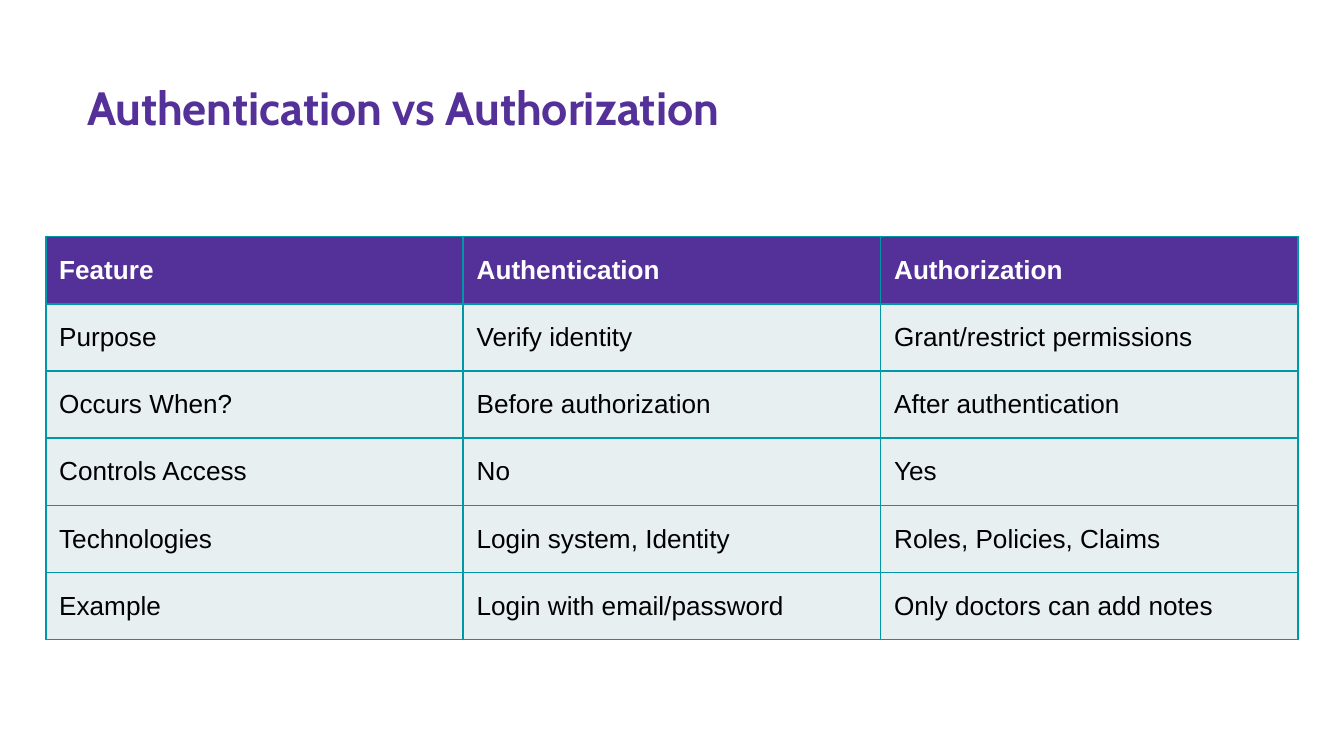
from dataclasses import dataclass

from lxml.etree import SubElement
from pptx import Presentation
from pptx.dml.color import RGBColor as Color
from pptx.enum.text import MSO_ANCHOR as Anchor
from pptx.oxml.ns import qn
from pptx.util import Inches, Pt


@dataclass(frozen=True)
class Theme:
    purple: str = "543198"
    teal: str = "0097A7"
    pale: str = "E7EFF1"
    white: str = "FFFFFF"
    black: str = "000000"
    title_font: str = "Cabin"
    body_font: str = "Arial"
    title_size: int = 25
    body_size: int = 14
    border_width: int = 1


THEME = Theme()

# Widescreen slide, 16:9
SLIDE_WIDTH = 10
SLIDE_HEIGHT = SLIDE_WIDTH * 9 / 16

# Table grid, in inches
TABLE_LEFT, TABLE_TOP = 0.34, 1.76
TABLE_WIDTH = SLIDE_WIDTH - 2 * TABLE_LEFT
ROW_HEIGHT = 0.5

ROWS = [
    ("Feature", "Authentication", "Authorization"),
    ("Purpose", "Verify identity", "Grant/restrict permissions"),
    ("Occurs When?", "Before authorization", "After authentication"),
    ("Controls Access", "No", "Yes"),
    ("Technologies", "Login system, Identity", "Roles, Policies, Claims"),
    ("Example", "Login with email/password", "Only doctors can add notes"),
]


def format_text(text_frame, font_name, size, color, bold):
    for paragraph in text_frame.paragraphs:
        for run in paragraph.runs:
            run.font.name = font_name
            run.font.size = Pt(size)
            run.font.bold = bold
            run.font.color.rgb = Color.from_string(color)


def add_title(slide, text):
    box = slide.shapes.add_textbox(Inches(0.55), Inches(0.49), Inches(9.06), Inches(0.69))
    text_frame = box.text_frame
    text_frame.word_wrap = True
    text_frame.vertical_anchor = Anchor.TOP
    text_frame.margin_left = text_frame.margin_right = Inches(0.1)
    text_frame.margin_top = text_frame.margin_bottom = Inches(0.1)
    text_frame.text = text
    format_text(text_frame, THEME.title_font, THEME.title_size, THEME.purple, True)


def set_borders(cell):
    # Border lines come before the fill in the cell properties
    properties = cell._tc.get_or_add_tcPr()
    for position, side in enumerate(("a:lnL", "a:lnR", "a:lnT", "a:lnB")):
        line = SubElement(properties, qn(side), w=str(Pt(THEME.border_width)))
        fill = SubElement(line, qn("a:solidFill"))
        SubElement(fill, qn("a:srgbClr"), val=THEME.teal)
        properties.insert(position, line)


def fill_cell(cell, text, is_header):
    cell.text_frame.text = text
    cell.vertical_anchor = Anchor.MIDDLE
    cell.fill.solid()
    cell.fill.fore_color.rgb = Color.from_string(THEME.purple if is_header else THEME.pale)
    text_color = THEME.white if is_header else THEME.black
    format_text(cell.text_frame, THEME.body_font, THEME.body_size, text_color, is_header)
    set_borders(cell)


def add_comparison_table(slide, rows):
    column_count = len(rows[0])
    table = slide.shapes.add_table(
        len(rows), column_count, Inches(TABLE_LEFT), Inches(TABLE_TOP),
        Inches(TABLE_WIDTH), Inches(ROW_HEIGHT * len(rows))).table
    table.horz_banding = False
    for column in table.columns:
        column.width = Inches(TABLE_WIDTH / column_count)
    for row_index, texts in enumerate(rows):
        table.rows[row_index].height = Inches(ROW_HEIGHT)
        for column_index, text in enumerate(texts):
            fill_cell(table.cell(row_index, column_index), text, row_index == 0)


def main():
    presentation = Presentation()
    presentation.slide_width = Inches(SLIDE_WIDTH)
    presentation.slide_height = Inches(SLIDE_HEIGHT)
    slide = presentation.slides.add_slide(presentation.slide_layouts[6])

    # Background
    slide.background.fill.solid()
    slide.background.fill.fore_color.rgb = Color.from_string(THEME.white)

    # Content
    add_title(slide, "Authentication vs Authorization")
    add_comparison_table(slide, ROWS)

    presentation.save("out.pptx")


if __name__ == "__main__":
    main()
